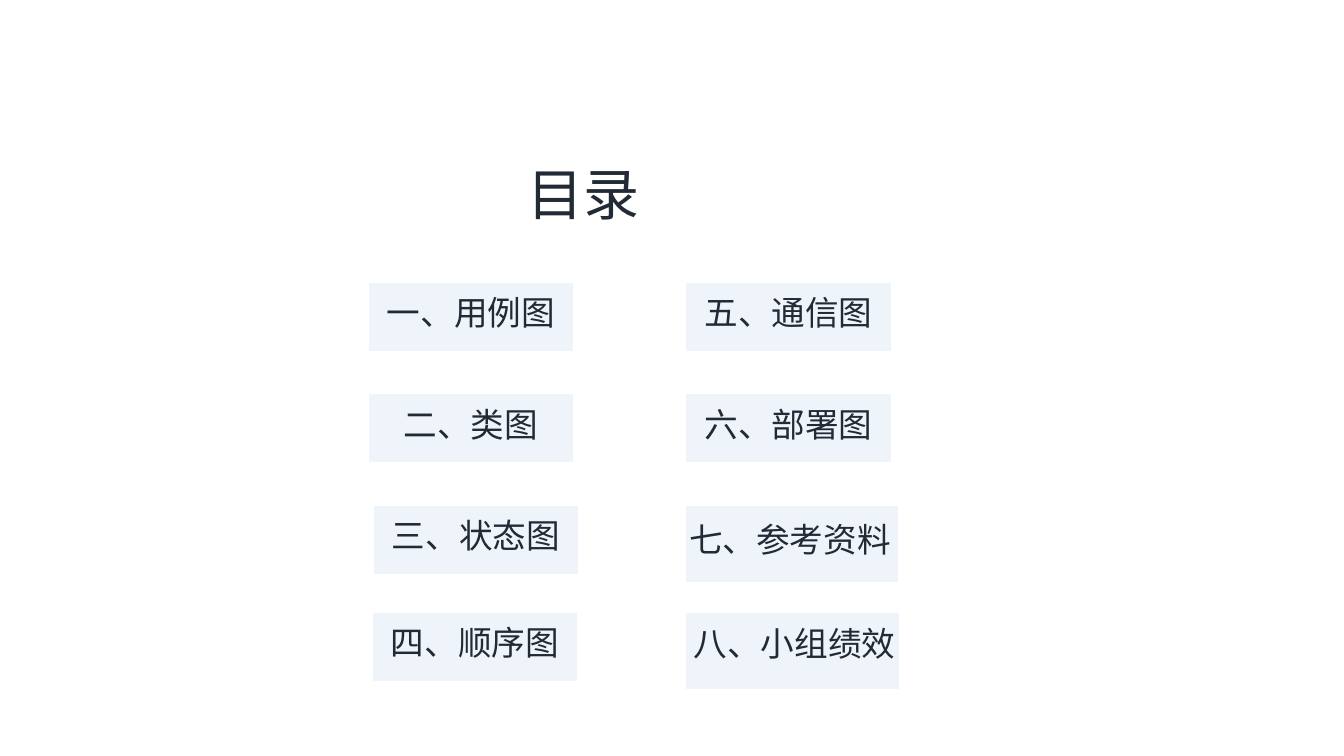
from dataclasses import dataclass

from lxml.etree import SubElement
from pptx import Presentation
from pptx.dml.color import RGBColor
from pptx.enum.shapes import MSO_SHAPE
from pptx.enum.text import MSO_AUTO_SIZE, PP_ALIGN
from pptx.oxml.ns import qn
from pptx.shapes.autoshape import Shape
from pptx.shapes.shapetree import GroupShapes, SlideShapes
from pptx.util import Inches, Pt

INK = RGBColor(0x22, 0x2A, 0x35)
PALE_BLUE = RGBColor(0xDE, 0xEB, 0xF7)
WHITE = RGBColor(0xFF, 0xFF, 0xFF)

SLIDE_WIDTH, SLIDE_HEIGHT = 13.33, 7.5
COLUMN_LEFTS = (3.65, 6.8)
ROW_TOPS = (2.8, 3.9, 5.01, 6.07)


@dataclass(frozen=True)
class Entry:
    """One contents entry; the label is placed relative to its tile."""
    text: str
    column: int
    row: int
    nudge: float = 0
    width: float = 2.04
    height: float = 0.69
    label_dx: float = -0.04
    label_dy: float = 0.06
    label_width: float = 2.12
    label_height: float = 0.5


ENTRIES = (
    Entry("一、用例图", 0, 0, label_dy=0.05),
    Entry("二、类图", 0, 1),
    Entry("三、状态图", 0, 2, nudge=0.05, label_dy=0.05),
    Entry("四、顺序图", 0, 3, nudge=0.04, label_dy=0.05),
    Entry("五、通信图", 1, 0, label_dy=0.05),
    Entry("六、部署图", 1, 1),
    Entry("七、参考资料", 1, 2, width=2.11, height=0.77, label_dx=-0.13,
          label_dy=0.09, label_width=2.33, label_height=0.57),
    Entry("八、小组绩效", 1, 3, width=2.12, height=0.77, label_width=2.24),
)


def add_label(shapes: SlideShapes | GroupShapes, text: str, left: float,
              top: float, width: float, height: float, size: int,
              font_name: str, alignment: PP_ALIGN) -> None:
    label = shapes.add_textbox(Inches(left), Inches(top),
                               Inches(width), Inches(height))
    frame = label.text_frame
    frame.word_wrap = True
    frame.auto_size = MSO_AUTO_SIZE.SHAPE_TO_FIT_TEXT
    paragraph = frame.paragraphs[0]
    paragraph.text = text
    paragraph.alignment = alignment
    paragraph.font.size = Pt(size)
    paragraph.font.name = font_name
    paragraph.font.color.rgb = INK


def set_fill_opacity(shape: Shape, percent: int) -> None:
    fill_color = shape._element.spPr.find(qn("a:solidFill"))[0]
    SubElement(fill_color, qn("a:alpha")).set("val", str(percent * 1000))


def add_entry(shapes: SlideShapes, entry: Entry) -> None:
    members = shapes.add_group_shape().shapes
    left = COLUMN_LEFTS[entry.column] + entry.nudge
    top = ROW_TOPS[entry.row]
    tile = members.add_shape(MSO_SHAPE.RECTANGLE, Inches(left), Inches(top),
                             Inches(entry.width), Inches(entry.height))
    tile.shadow.inherit = False
    tile.fill.solid()
    tile.fill.fore_color.rgb = PALE_BLUE
    set_fill_opacity(tile, 50)
    tile.line.color.rgb = WHITE
    tile.line.width = Pt(1)
    add_label(members, entry.text, left + entry.label_dx, top + entry.label_dy,
              entry.label_width, entry.label_height, 24, "Arial",
              PP_ALIGN.CENTER)


def main() -> None:
    presentation = Presentation()
    presentation.slide_width = Inches(SLIDE_WIDTH)
    presentation.slide_height = Inches(SLIDE_HEIGHT)
    slide = presentation.slides.add_slide(presentation.slide_layouts[6])
    add_label(slide.shapes, "目录", 5.13, 1.53, 2.02, 0.77, 40,
              "Noto Sans CJK SC", PP_ALIGN.JUSTIFY)
    for entry in ENTRIES:
        add_entry(slide.shapes, entry)
    presentation.save("out.pptx")


if __name__ == "__main__":
    main()
